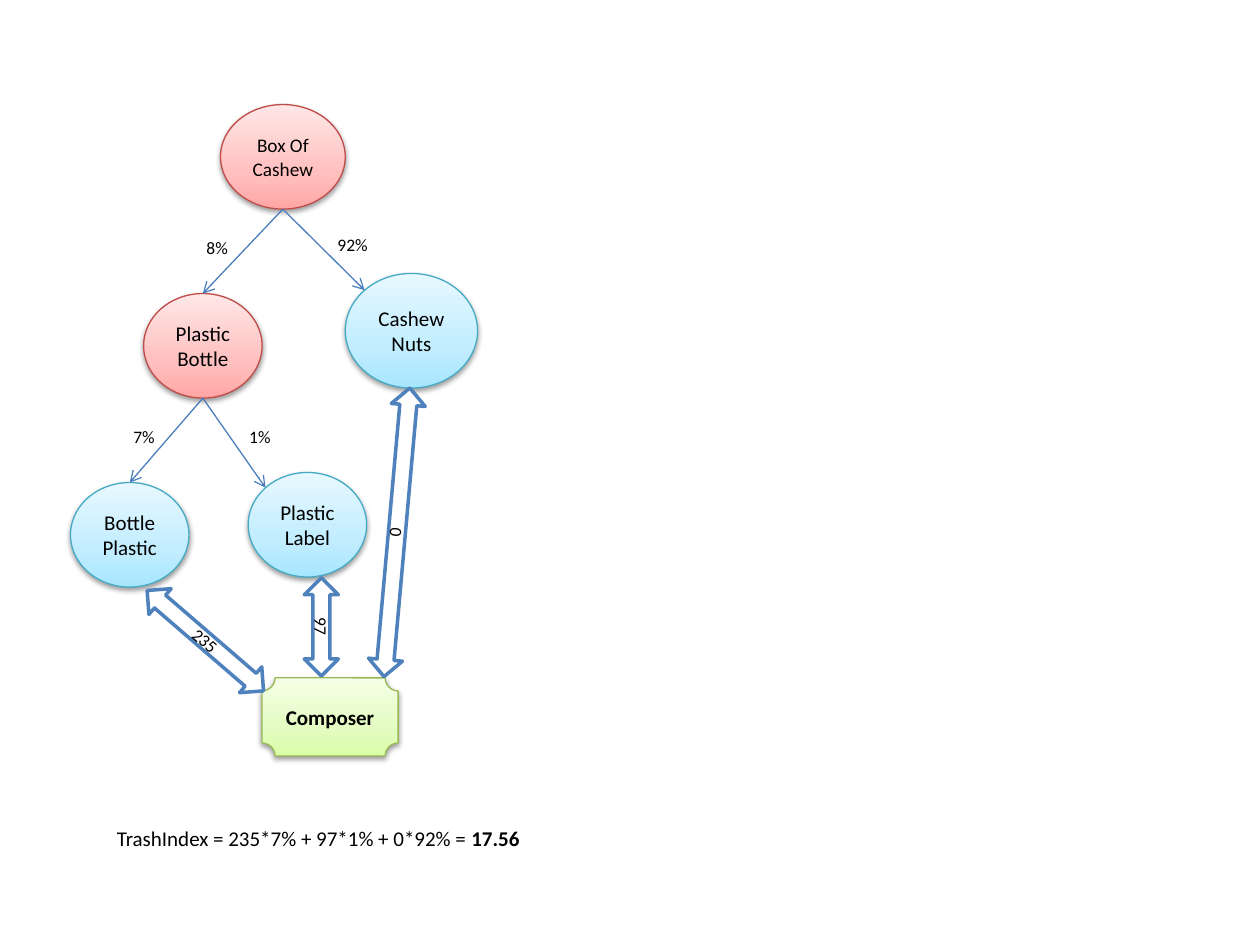
from copy import deepcopy

from lxml.etree import SubElement
from pptx import Presentation
from pptx.dml.color import RGBColor
from pptx.enum.shapes import MSO_CONNECTOR, MSO_SHAPE
from pptx.enum.text import MSO_ANCHOR, MSO_AUTO_SIZE, PP_ALIGN
from pptx.oxml.ns import qn
from pptx.util import Inches, Pt

COLORS = {"text": "000000", "paper": "FFFFFF", "arrow": "4F81BD", "link": "4B7EBC"}
STYLES = {
    "red": {"stops": ("FFA6A5", "FFC0BF", "FFE7E7"), "line": "BF4C48"},
    "blue": {"stops": ("A7E6FF", "C1EDFF", "E7F8FF"), "line": "46AAC5"},
    "green": {"stops": ("DAFDA7", "E4FCC2", "F5FFE7"), "line": "98B955"},
}
NODES = [
    ("Box Of Cashew", "red", (1.75, 0.83, 0.99, 0.83), 11),
    ("Plastic Bottle", "red", (1.14, 2.33, 0.94, 0.83), 12),
    ("Cashew Nuts", "blue", (2.74, 2.17, 1.05, 0.91), 12),
    ("Bottle Plastic", "blue", (0.56, 3.83, 0.94, 0.83), 12),
    ("Plastic Label", "blue", (1.97, 3.75, 0.94, 0.83), 12),
]
BRANCHES = [
    ("Box Of Cashew", "Plastic Bottle", True),
    ("Box Of Cashew", "Cashew Nuts", False),
    ("Plastic Bottle", "Bottle Plastic", True),
    ("Plastic Bottle", "Plastic Label", False),
]
SCORES = [
    ("235", (1.02, 4.95, 1.22, 0.27), 40.8),
    ("97", (2.16, 4.84, 0.78, 0.27), 90),
    ("0", (2, 4.09, 2.3, 0.27), 95.1),
]
SHARES = [
    ("7%", (0.96, 3.33, 0.37, 0.27)),
    ("1%", (1.88, 3.33, 0.37, 0.27)),
    ("92%", (2.58, 1.81, 0.45, 0.27)),
    ("8%", (1.54, 1.83, 0.37, 0.27)),
]


def rgb(value):
    """Turn a hex string into a colour."""
    return RGBColor.from_string(value)


def style_font(font, size, bold=None):
    """Set the common typeface with a size and weight."""
    font.name, font.size, font.bold = "Calibri", Pt(size), bold
    font.color.rgb = rgb(COLORS["text"])


def add_labelled_shape(page, kind, box, label, size, bold=None):
    """Add a preset shape with centred text and no shadow."""
    shape = page.shapes.add_shape(kind, *map(Inches, box))
    shape.shadow.inherit = False
    shape.text_frame.vertical_anchor = MSO_ANCHOR.MIDDLE
    para = shape.text_frame.paragraphs[0]
    para.text, para.alignment = label, PP_ALIGN.CENTER
    style_font(para.font, size, bold)
    return shape


def add_glossy_shape(page, kind, box, label, style, size, bold=None):
    """Add a labelled shape with a three-stop gradient and a soft shadow."""
    shape = add_labelled_shape(page, kind, box, label, size, bold)
    shape.fill.gradient()
    shape.fill.gradient_angle = 90
    stop_list = shape._element.spPr.find(".//" + qn("a:gsLst"))
    stop_list.append(deepcopy(stop_list[-1]))
    colors = STYLES[style]["stops"]
    for stop, position, color in zip(shape.fill.gradient_stops, (0, 0.35, 1), colors):
        stop.position, stop.color.rgb = position, rgb(color)
    shape.line.color.rgb = rgb(STYLES[style]["line"])
    shape.line.width = Pt(0.75)
    effects = shape._element.spPr.find(qn("a:effectLst"))
    shadow = SubElement(effects, qn("a:outerShdw"), blurRad=str(Pt(3.1)),
                        dist=str(Pt(1.6)), dir="5400000", rotWithShape="0")
    color = SubElement(shadow, qn("a:srgbClr"), val=COLORS["text"])
    SubElement(color, qn("a:alpha"), val="38000")
    return shape


def add_branch(page, parent, child, to_top):
    """Draw an arrow from a node's bottom to a child's top or upper left."""
    inset = 0.5 if to_top else 0.146
    start = parent.left + parent.width // 2, parent.top + parent.height
    end = (child.left + int(child.width * inset),
           child.top + (0 if to_top else int(child.height * inset)))
    line = page.shapes.add_connector(MSO_CONNECTOR.STRAIGHT, *start, *end)
    if to_top:
        line.end_connect(child, 0)
    line.line.color.rgb = rgb(COLORS["link"])
    line.line.width = Pt(0.75)
    SubElement(line.line._get_or_add_ln(), qn("a:tailEnd"), type="arrow")
    SubElement(line._element.spPr, qn("a:effectLst"))


def add_score_arrow(page, label, box, angle):
    """Add a rotated double arrow carrying a score."""
    arrow = add_labelled_shape(page, MSO_SHAPE.LEFT_RIGHT_ARROW, box, label, 10)
    arrow.rotation = angle
    arrow.fill.solid()
    arrow.fill.fore_color.rgb = rgb(COLORS["paper"])
    arrow.line.color.rgb = rgb(COLORS["arrow"])
    arrow.line.width = Pt(2)


def add_text(page, box, spans, size):
    """Add an unwrapped text box from (text, bold) spans."""
    frame = page.shapes.add_textbox(*map(Inches, box)).text_frame
    frame.word_wrap = False
    frame.auto_size = MSO_AUTO_SIZE.SHAPE_TO_FIT_TEXT
    para = frame.paragraphs[0]
    style_font(para.font, size)
    for text, bold in spans:
        span = para.add_run()
        span.text = text
        style_font(span.font, size, bold)


def add_tree(page):
    """Draw the product tree with its branches and shares."""
    nodes = {label: add_glossy_shape(page, MSO_SHAPE.OVAL, box, label, style, size)
             for label, style, box, size in NODES}
    for parent, child, to_top in BRANCHES:
        add_branch(page, nodes[parent], nodes[child], to_top)
    for label, box in SHARES:
        add_text(page, box, [(label, None)], 10)


def add_composer(page):
    """Draw the composer plaque and the score arrows that reach it."""
    add_glossy_shape(page, MSO_SHAPE.PLAQUE, (2.08, 5.38, 1.08, 0.62),
                     "Composer", "green", 12, True)
    for score in SCORES:
        add_score_arrow(page, *score)


def main():
    """Build and save the slide."""
    deck = Presentation()
    deck.slide_width, deck.slide_height = Inches(10), Inches(7.5)
    page = deck.slides.add_slide(deck.slide_layouts[6])
    add_tree(page)
    add_composer(page)
    add_text(page, (0.83, 6.5, 3.44, 0.3),
             [("TrashIndex = 235*7% + 97*1% + 0*92% = ", None), ("17.56", True)], 12)
    deck.save("out.pptx")


if __name__ == "__main__":
    main()
